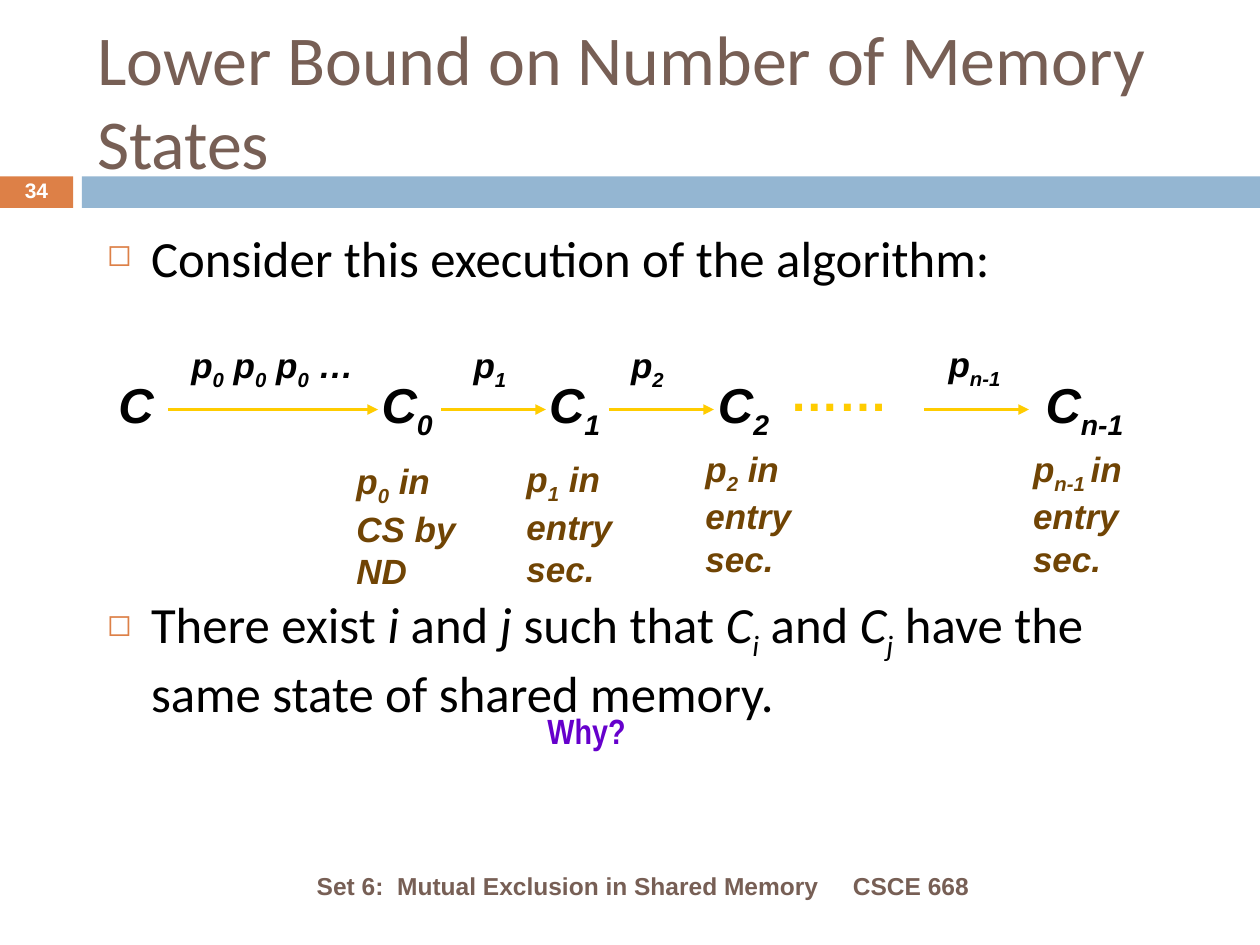
from lxml import etree
from pptx import Presentation
from pptx.dml.color import RGBColor
from pptx.enum.shapes import MSO_CONNECTOR, MSO_SHAPE
from pptx.enum.text import MSO_ANCHOR, MSO_AUTO_SIZE, PP_ALIGN
from pptx.oxml.ns import qn
from pptx.util import Pt

RECTANGLE = MSO_SHAPE.RECTANGLE
STRAIGHT = MSO_CONNECTOR.STRAIGHT
MIDDLE, TOP = MSO_ANCHOR.MIDDLE, MSO_ANCHOR.TOP
LEFT, CENTER, RIGHT = PP_ALIGN.LEFT, PP_ALIGN.CENTER, PP_ALIGN.RIGHT
FIXED = MSO_AUTO_SIZE.NONE

COLORS = {
    "title": "775F55", "orange": "DD8047", "blue": "94B6D2", "black": "000000",
    "white": "FFFFFF", "yellow": "FFCC00", "brown": "704404", "purple": "6600CC",
}
FORMATS = {
    "title": {"name": "Calibri", "size": Pt(40), "color": "title"},
    "body": {"name": "Calibri", "size": Pt(29), "color": "black"},
    "footer": {"name": "Arial", "size": Pt(14), "bold": True, "color": "title"},
    "number": {"name": "Arial", "size": Pt(12), "bold": True, "color": "white"},
    "step": {"name": "Arial", "size": Pt(20), "bold": True, "italic": True, "color": "black"},
    "state": {"name": "Arial", "size": Pt(28), "bold": True, "italic": True, "color": "black"},
    "note": {"name": "Arial", "size": Pt(20), "bold": True, "italic": True, "color": "brown"},
    "dots": {"name": "Arial", "size": Pt(28), "bold": True, "color": "yellow"},
    "question": {"name": "Arial Narrow", "size": Pt(20), "bold": True, "color": "purple"},
}

ARROW_Y = 234
ARROWS = [(96, 216), (252, 312), (348, 408), (528, 588)]
STEPS = [
    ("p|0| p|0| p|0| …", 102.24, 192.96, 114),
    ("p|1", 263.52, 192.96, 40),
    ("p|2", 353.52, 192.96, 40),
    ("p|n-1", 534.96, 192.24, 50),
]
STATES = [
    ("C", 60.48, 40), ("C|0", 210.96, 50), ("C|1", 306.72, 50),
    ("C|2", 403.2, 50), ("C|n-1", 590.4, 66),
]
NOTES = [
    (["p|0| in", "CS by", "ND"], 196.56, 259.2, 78),
    (["p|1| in", "entry", "sec."], 293.76, 257.76, 72),
    (["p|2| in", "entry", "sec."], 396, 252, 72),
    (["p|n-1 |in", "entry", "sec."], 583.2, 252, 76),
]
CONCLUSION = [
    ("There exist ", False), ("i", True), (" and ", False), ("j", True),
    (" such that ", False), ("C|i", True), (" and ", False), ("C|j", True),
    (" have the same state of shared memory.", False),
]


def rgb(color):
    return RGBColor.from_string(COLORS[color])


def add_runs(paragraph, text, style, **changes):
    """Alternate normal and subscript runs at each bar in the text."""
    for index, piece in enumerate(text.split("|")):
        run = paragraph.add_run()
        run.text = piece
        for key, value in {**FORMATS[style], **changes}.items():
            if key == "color":
                run.font.color.rgb = rgb(value)
            else:
                setattr(run.font, key, value)
        if index % 2:
            run._r.get_or_add_rPr().set("baseline", "-25000")


def set_frame(frame, anchor):
    frame.word_wrap = True
    frame.auto_size = FIXED
    frame.vertical_anchor = anchor


def add_text(slide, lines, style, box, anchor=TOP, align=LEFT):
    shape = slide.shapes.add_textbox(*map(Pt, box))
    frame = shape.text_frame
    set_frame(frame, anchor)
    for index, line in enumerate(lines):
        paragraph = frame.add_paragraph() if index else frame.paragraphs[0]
        paragraph.alignment = align
        add_runs(paragraph, line, style)
    return shape


def add_bar(slide, color, left, width):
    shape = slide.shapes.add_shape(RECTANGLE, Pt(left), Pt(100.8), Pt(width), Pt(18))
    shape.shadow.inherit = False
    shape.fill.solid()
    shape.fill.fore_color.rgb = rgb(color)
    shape.line.fill.background()


def add_arrow(slide, start, end):
    connector = slide.shapes.add_connector(STRAIGHT, Pt(start), Pt(ARROW_Y), Pt(end), Pt(ARROW_Y))
    connector.line.color.rgb = rgb("yellow")
    connector.line.width = Pt(2)
    line = connector.line._get_or_add_ln()
    etree.SubElement(line, qn("a:tailEnd"), type="triangle")
    etree.SubElement(connector._element.spPr, qn("a:effectLst"))


def set_bullet(paragraph):
    properties = paragraph._p.get_or_add_pPr()
    properties.set("marL", str(Pt(25.2)))
    properties.set("indent", str(Pt(-25.2)))
    color = etree.SubElement(properties, qn("a:buClr"))
    etree.SubElement(color, qn("a:srgbClr"), val=COLORS["orange"])
    etree.SubElement(properties, qn("a:buSzPct"), val="60000")
    etree.SubElement(properties, qn("a:buChar"), char="◻")


def set_title(slide):
    title = slide.shapes.title
    title.left, title.top, title.width, title.height = map(Pt, (48.24, 18, 642.24, 77.76))
    set_frame(title.text_frame, MIDDLE)
    paragraph = title.text_frame.paragraphs[0]
    paragraph.alignment = LEFT
    add_runs(paragraph, "Lower Bound on Number of Memory States", "title")


def add_body(slide):
    body = add_text(slide, ["Consider this execution of the algorithm:"], "body",
                    (54, 126, 630, 347.76))
    frame = body.text_frame
    conclusion = frame.add_paragraph()
    for paragraph in frame.paragraphs:
        set_bullet(paragraph)
    conclusion.space_before = Pt(174.3)
    for text, italic in CONCLUSION:
        add_runs(conclusion, text, "body", italic=italic)


def add_footer(slide):
    add_text(slide, ["CSCE 668"], "footer", (480.24, 491.76, 210.24, 28.8), MIDDLE)
    add_text(slide, ["Set 6:  Mutual Exclusion in Shared Memory"], "footer",
             (48.24, 491.76, 426.96, 28.8), MIDDLE, RIGHT)
    number = add_text(slide, ["34"], "number", (0, 100.08, 41.76, 19.44), MIDDLE, CENTER)
    number.text_frame.paragraphs[0].line_spacing = 0.8


def add_execution(slide):
    for start, end in ARROWS:
        add_arrow(slide, start, end)
    for text, left, top, width in STEPS:
        add_text(slide, [text], "step", (left, top, width, 34.56))
    for text, left, width in STATES:
        add_text(slide, [text], "state", (left, 210.24, width, 45.36))
    add_text(slide, ["……"], "dots", (444.24, 203.76, 78, 41.04))
    for lines, left, top, width in NOTES:
        add_text(slide, lines, "note", (left, top, width, 82.8))


def main():
    presentation = Presentation()
    presentation.slide_width, presentation.slide_height = Pt(720), Pt(540)
    slide = presentation.slides.add_slide(presentation.slide_layouts[5])
    add_bar(slide, "orange", 0, 41.76)
    add_bar(slide, "blue", 46.8, 673.2)
    set_title(slide)
    add_footer(slide)
    add_body(slide)
    add_execution(slide)
    add_text(slide, ["Why?"], "question", (293.76, 401.76, 82.8, 98.64), align=CENTER)
    presentation.save("out.pptx")


if __name__ == "__main__":
    main()
